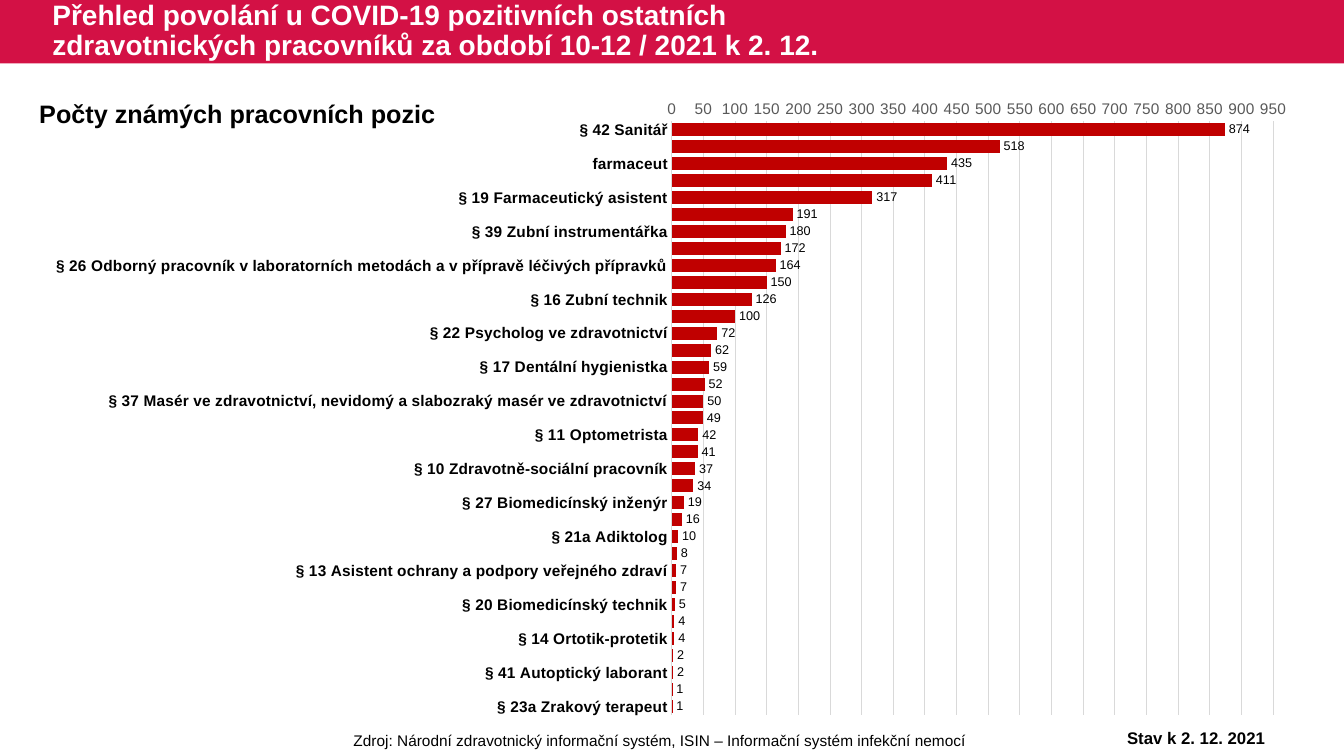
from lxml import etree
from pptx import Presentation
from pptx.chart.data import CategoryChartData
from pptx.dml.color import RGBColor
from pptx.enum.chart import XL_CHART_TYPE as ChartType, XL_LABEL_POSITION as LabelPos
from pptx.enum.chart import XL_TICK_MARK as TickMark
from pptx.enum.shapes import MSO_SHAPE as Shape
from pptx.enum.text import MSO_ANCHOR as Anchor, MSO_AUTO_SIZE as AutoSize, PP_ALIGN as Align
from pptx.oxml.ns import qn
from pptx.util import Cm, Pt

FONT = "Arial"
BLACK, WHITE, GREY, GRID = "000000", "FFFFFF", "595959", "D9D9D9"
BANNER_RED, BAR_RED = "D31145", "C00000"

POSITIONS = [
    ("§ 42 Sanitář", 874),
    ("§ 24 Fyzioterapeut", 518),
    ("farmaceut", 435),
    ("§ 9 Zdravotní laborant", 411),
    ("§ 19 Farmaceutický asistent", 317),
    ("§ 36 Ošetřovatel", 191),
    ("§ 39 Zubní instrumentářka", 180),
    ("§ 18 Zdravotnický záchranář", 172),
    ("§ 26 Odborný pracovník v laboratorních metodách a v přípravě léčivých přípravků", 164),
    ("§ 8 Radiologický asistent", 150),
    ("§ 16 Zubní technik", 126),
    ("§ 40 Řidič zdravotnické dopravní služby", 100),
    ("§ 22 Psycholog ve zdravotnictví", 72),
    ("§ 35 Řidič vozidla zdravotnické záchranné služby", 62),
    ("§ 17 Dentální hygienistka", 59),
    ("§ 23 Logoped ve zdravotnictví", 52),
    ("§ 37 Masér ve zdravotnictví, nevidomý a slabozraký masér ve zdravotnictví", 50),
    ("§ 15 Nutriční terapeut", 49),
    ("§ 11 Optometrista", 42),
    ("§ 7 Ergoterapeut", 41),
    ("§ 10 Zdravotně-sociální pracovník", 37),
    ("§ 30 Laboratorní asistent", 34),
    ("§ 27 Biomedicínský inženýr", 19),
    ("§ 33 Asistent zubního technika", 16),
    ("§ 21a Adiktolog", 10),
    ("§ 28 Odborný pracovník v ochraně a podpoře veřejného zdraví", 8),
    ("§ 13 Asistent ochrany a podpory veřejného zdraví", 7),
    ("§ 25 Radiologický fyzik", 7),
    ("§ 20 Biomedicínský technik", 5),
    ("§ 12 Ortoptista", 4),
    ("§ 14 Ortotik-protetik", 4),
    ("§ 32 Nutriční asistent", 2),
    ("§ 41 Autoptický laborant", 2),
    ("§ 21 Radiologický technik", 1),
    ("§ 23a Zrakový terapeut", 1),
]


def rgb(value):
    return RGBColor.from_string(value)


def style_font(font, size, color, bold=False):
    font.name, font.size, font.bold = FONT, Pt(size), bold
    font.color.rgb = rgb(color)


def add_text(slide, box, text, size, color=BLACK, bold=False, align=Align.LEFT, wrap=True):
    frame = slide.shapes.add_textbox(*map(Cm, box)).text_frame
    frame.word_wrap = wrap
    frame.auto_size = AutoSize.SHAPE_TO_FIT_TEXT
    paragraph = frame.paragraphs[0]
    paragraph.alignment = align
    run = paragraph.add_run()
    run.text = text
    style_font(run.font, size, color, bold)
    return frame


def add_banner(slide, box):
    left, top, width, height = box
    band = slide.shapes.add_shape(Shape.RECTANGLE, *map(Cm, box))
    band.shadow.inherit = False
    band.fill.solid()
    band.fill.fore_color.rgb = rgb(BANNER_RED)
    band.line.fill.background()
    title = add_text(
        slide, (left + 1.07, top, 20.98, height),
        "Přehled povolání u COVID-19 pozitivních ostatních "
        "zdravotnických pracovníků za období 10-12 / 2021 k 2. 12.",
        20, WHITE, bold=True)
    title.auto_size = AutoSize.NONE
    title.vertical_anchor = Anchor.MIDDLE
    title.paragraphs[0].line_spacing = 0.9


def set_plot_layout(chart, x, y, w, h):
    plot_area = chart.plots[0]._element.getparent()
    for old in plot_area.findall(qn("c:layout")):
        plot_area.remove(old)
    layout = etree.Element(qn("c:layout"))
    manual = etree.SubElement(layout, qn("c:manualLayout"))
    settings = {"layoutTarget": "inner", "xMode": "edge", "yMode": "edge",
                "x": x, "y": y, "w": w, "h": h}
    for tag, value in settings.items():
        etree.SubElement(manual, qn(f"c:{tag}")).set("val", str(value))
    plot_area.insert(0, layout)


def add_positions_chart(slide, box):
    data = CategoryChartData()
    data.categories = [name for name, _ in POSITIONS]
    data.add_series("Series 1", [count for _, count in POSITIONS])
    chart = slide.shapes.add_chart(ChartType.BAR_CLUSTERED, *map(Cm, box), data).chart
    chart.has_legend = chart.has_title = False
    style_font(chart.font, 10, BLACK)
    set_plot_layout(chart, 0.511, 0.063, 0.46, 0.917)

    # Bars and their values
    bars = chart.plots[0]
    bars.vary_by_categories = False
    bars.gap_width, bars.overlap = 30, 100
    fill = bars.series[0].format.fill
    fill.solid()
    fill.fore_color.rgb = rgb(BAR_RED)
    bars.has_data_labels = True
    bars.data_labels.show_value = True
    bars.data_labels.position = LabelPos.OUTSIDE_END
    style_font(bars.data_labels.font, 9, BLACK)

    # Axes
    jobs, counts = chart.category_axis, chart.value_axis
    for axis in (jobs, counts):
        axis.major_tick_mark = axis.minor_tick_mark = TickMark.NONE
    jobs.reverse_order = True
    style_font(jobs.tick_labels.font, 11, BLACK, bold=True)
    style_font(counts.tick_labels.font, 11, GREY)
    counts.minimum_scale, counts.maximum_scale, counts.major_unit = 0, 950, 50
    counts.format.line.fill.background()
    for line in (jobs.format.line, counts.major_gridlines.format.line):
        line.color.rgb = rgb(GRID)
        line.width = Pt(0.75)


def add_footer(slide, box):
    left, top, width, height = box
    add_text(slide, (left, top + 0.08, 21.29, height - 0.08),
             "Zdroj: Národní zdravotnický informační systém, ISIN – "
             "Informační systém infekční nemocí", 11, align=Align.CENTER)
    add_text(slide, (left + width - 5.59, top, 5.59, height),
             "Stav k 2. 12. 2021", 12, bold=True, align=Align.CENTER)


def main():
    prs = Presentation()
    prs.slide_width, prs.slide_height = Cm(33.87), Cm(19.05)
    slide = prs.slides.add_slide(prs.slide_layouts[6])
    add_banner(slide, (0, 0, 33.87, 1.6))
    add_positions_chart(slide, (0.1, 2.03, 32.94, 16.31))
    add_text(slide, (0.74, 2.36, 10.57, 1.02), "Počty známých pracovních pozic",
             18, bold=True, wrap=False)
    add_footer(slide, (5.99, 18.21, 26.95, 0.76))
    prs.save("out.pptx")


if __name__ == "__main__":
    main()
